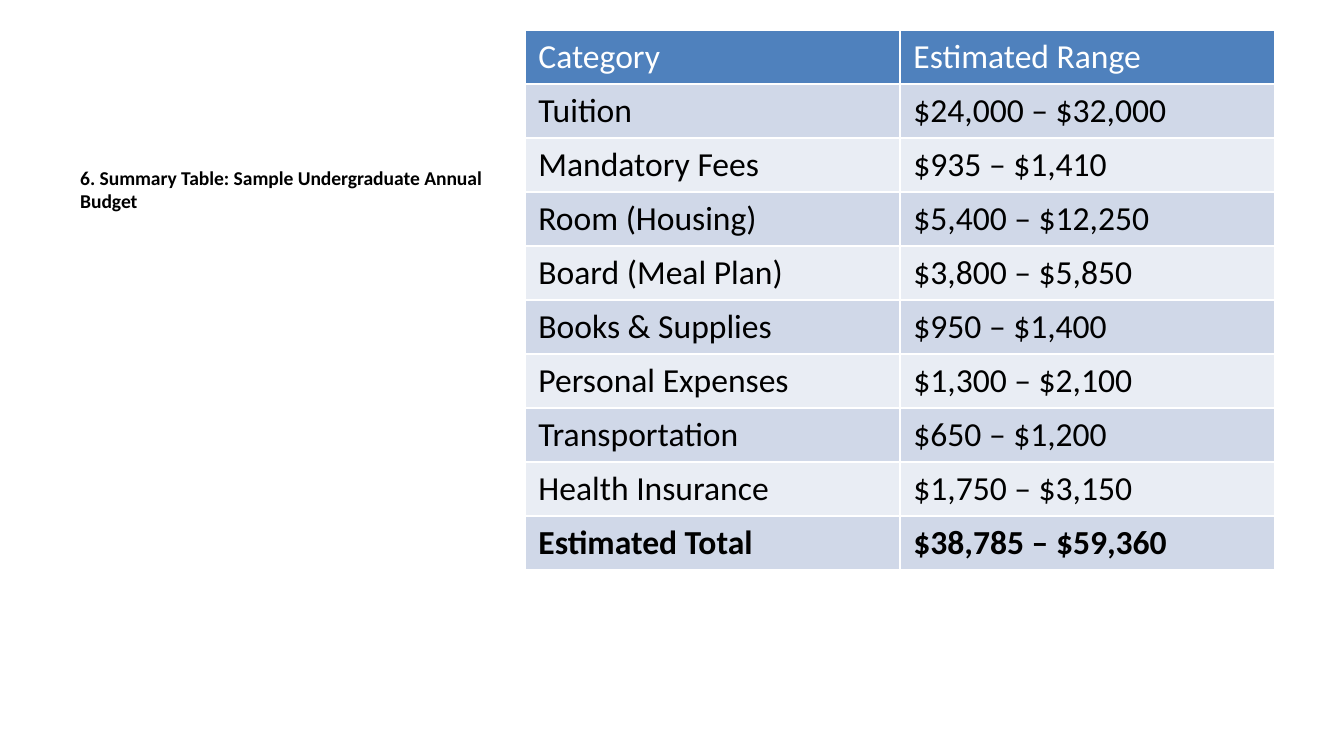
from lxml.etree import SubElement
from pptx import Presentation
from pptx.dml.color import RGBColor
from pptx.enum.text import MSO_ANCHOR
from pptx.oxml.ns import qn
from pptx.util import Emu, Pt

PX_PER_INCH = 134.4
HEADING = "6. Summary Table: Sample Undergraduate Annual Budget"
BUDGET = [
    ("Category", "Estimated Range"),
    ("Tuition", "$24,000 – $32,000"),
    ("Mandatory Fees", "$935 – $1,410"),
    ("Room (Housing)", "$5,400 – $12,250"),
    ("Board (Meal Plan)", "$3,800 – $5,850"),
    ("Books & Supplies", "$950 – $1,400"),
    ("Personal Expenses", "$1,300 – $2,100"),
    ("Transportation", "$650 – $1,200"),
    ("Health Insurance", "$1,750 – $3,150"),
    ("Estimated Total", "$38,785 – $59,360"),
]
HEADER_FILL = "4F81BD"
BAND_FILLS = ("E9EDF4", "D0D8E8")
WHITE, BLACK = "FFFFFF", "000000"


def px(length):
    return Emu(round(length * 914400 / PX_PER_INCH))


def color(hex_string):
    return RGBColor.from_string(hex_string)


def write(text_frame, text, font_color, **font_format):
    run = text_frame.paragraphs[0].add_run()
    run.text = text
    run.font.color.rgb = color(font_color)
    for name, value in {"name": "Calibri", **font_format}.items():
        setattr(run.font, name, value)


def add_heading(slide, left, top, width, height):
    text_frame = slide.shapes.add_textbox(px(left), px(top), px(width), px(height)).text_frame
    text_frame.word_wrap = True
    write(text_frame, HEADING, BLACK, size=Pt(10.5), bold=True)


def set_borders(cell, hex_string, width):
    """Draw all four sides; borders must precede the fill in the cell's XML."""
    properties = cell._tc.get_or_add_tcPr()
    for side in ("a:lnL", "a:lnR", "a:lnT", "a:lnB"):
        line = SubElement(properties, qn(side), w=str(width))
        fill = SubElement(line, qn("a:solidFill"))
        SubElement(fill, qn("a:srgbClr"), val=hex_string)


def add_budget_table(slide, left, top, column_width, row_height):
    row_count, column_count = len(BUDGET), len(BUDGET[0])
    table = slide.shapes.add_table(
        row_count, column_count, px(left), px(top),
        px(column_width * column_count), px(row_height * row_count),
    ).table
    for row_index, row in enumerate(BUDGET):
        is_header = row_index == 0
        is_total = row_index == row_count - 1
        for column_index, text in enumerate(row):
            cell = table.cell(row_index, column_index)
            cell.vertical_anchor = MSO_ANCHOR.TOP
            set_borders(cell, WHITE, Pt(1))
            cell.fill.solid()
            cell.fill.fore_color.rgb = color(HEADER_FILL if is_header else BAND_FILLS[row_index % 2])
            write(cell.text_frame, text, WHITE if is_header else BLACK, size=Pt(18), bold=is_total)


def main():
    presentation = Presentation()
    presentation.slide_width, presentation.slide_height = px(1344), px(756)
    slide = presentation.slides.add_slide(presentation.slide_layouts[6])
    add_heading(slide, 67, 159, 442, 517)
    add_budget_table(slide, 525, 30, 375, 54)
    presentation.save("out.pptx")


if __name__ == "__main__":
    main()
